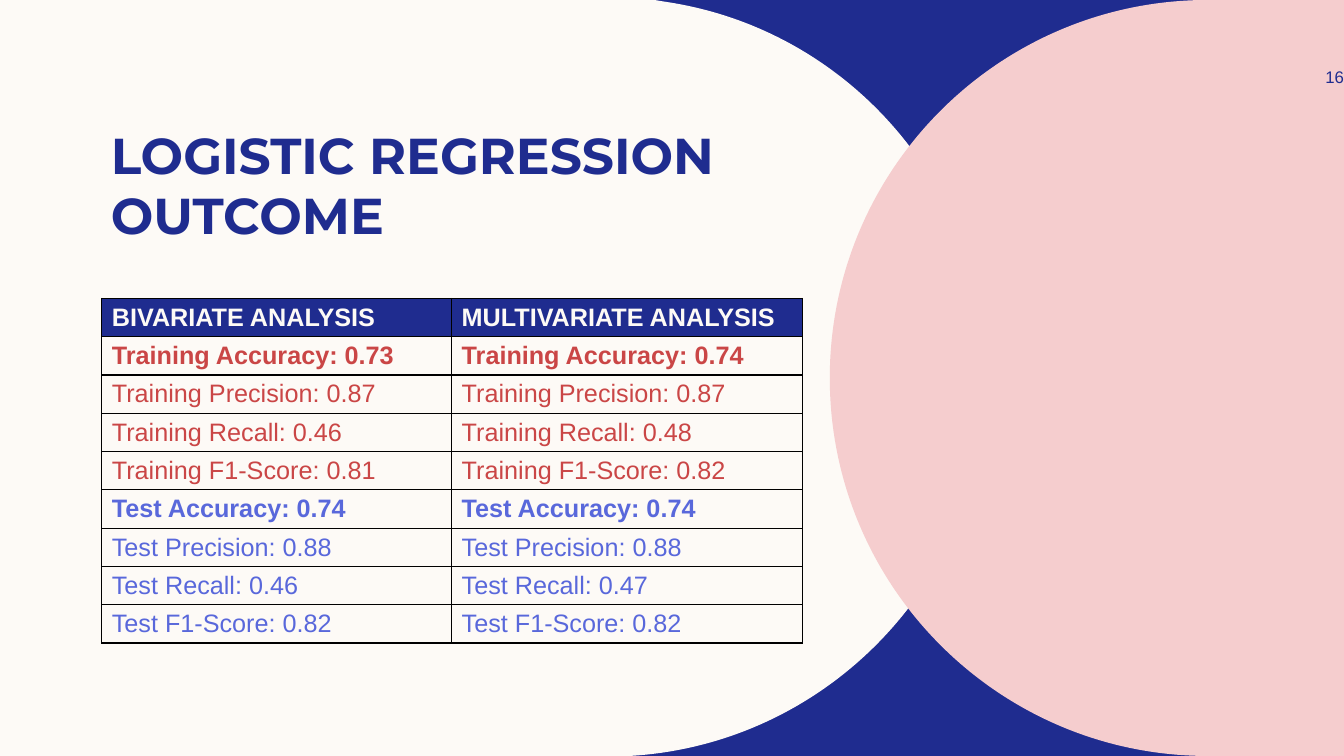
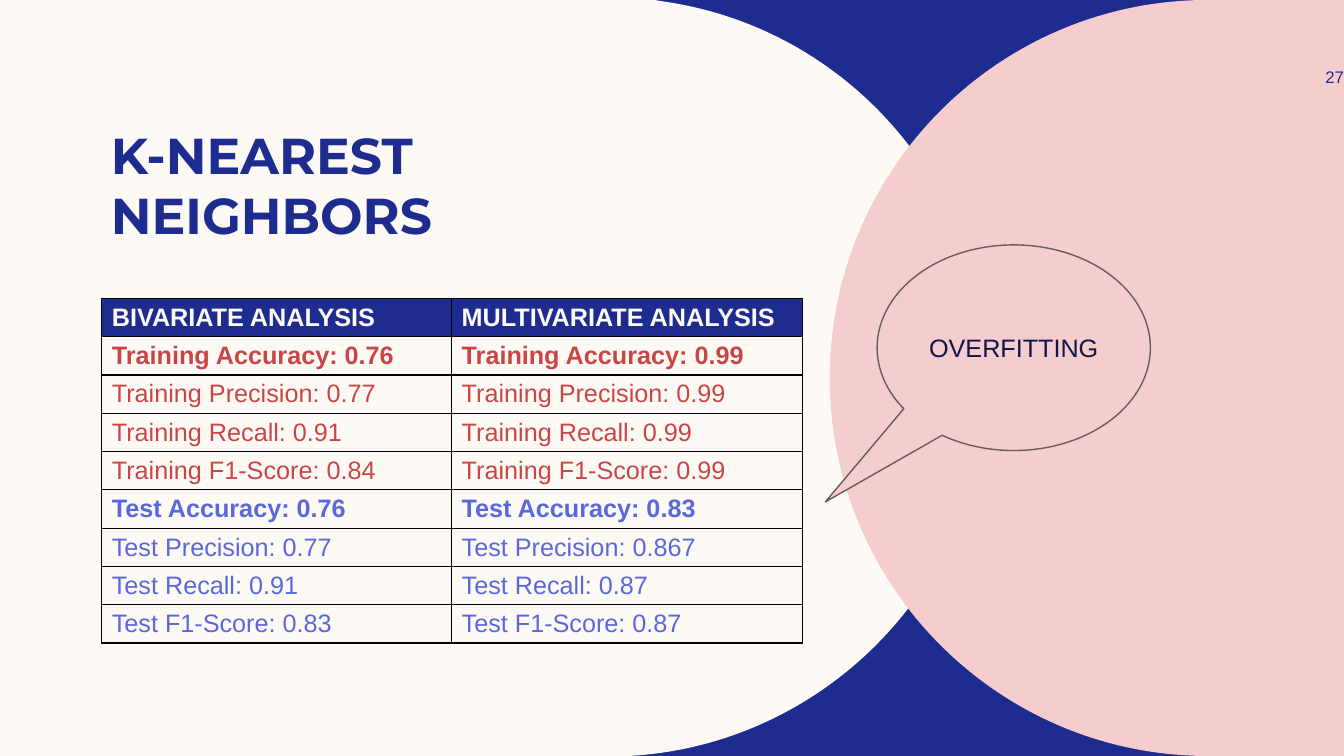
"""Build two slides that compare bivariate and multivariate model scores."""
from lxml import etree
from pptx import Presentation
from pptx import util as u
from pptx.dml.color import RGBColor
from pptx.enum import shapes, text
from pptx.oxml.ns import qn

COLORS = {"navy": "1F2C8F", "cream": "FDFAF6", "pink": "F5CDCE", "red": "CA4646",
          "blue": "5968DB", "ink": "101648", "outline": "6B5A5A", "border": "000000"}
BODY_FONT, TITLE_FONT = "Arial", "Montserrat"
HEADERS = ["BIVARIATE ANALYSIS", "MULTIVARIATE ANALYSIS"]
METRICS = ["Accuracy", "Precision", "Recall", "F1-Score"]
PHASES = [("Training", "red"), ("Test", "blue")]
SLIDES = [
    {"title": "LOGISTIC REGRESSION\nOUTCOME", "number": "16", "callout": None,
     "Training": [("0.73", "0.74"), ("0.87", "0.87"), ("0.46", "0.48"), ("0.81", "0.82")],
     "Test": [("0.74", "0.74"), ("0.88", "0.88"), ("0.46", "0.47"), ("0.82", "0.82")]},
    {"title": "K-NEAREST NEIGHBORS", "number": "27", "callout": "OVERFITTING",
     "Training": [("0.76", "0.99"), ("0.77", "0.99"), ("0.91", "0.99"), ("0.84", "0.99")],
     "Test": [("0.76", "0.83"), ("0.77", "0.867"), ("0.91", "0.87"), ("0.83", "0.87")]},
]
PANELS = [
    ("cream", (0, 0), [
        [(6.49, 0)],
        [(6.61, 0.02)],
        [(8.41, 0.29), (9.79, 1.85), (9.79, 3.74)],
        [(9.79, 5.75), (8.21, 7.39), (6.24, 7.5)],
        [(6.04, 7.5)],
        [(0, 7.5)]]),
    ("pink", (11.98, 0), [
        [(13.34, 0)],
        [(13.34, 7.5)],
        [(11.98, 7.5)],
        [(9.91, 7.5), (8.23, 5.82), (8.23, 3.75)],
        [(8.23, 1.68), (9.91, 0), (11.98, 0)]]),
]
COL_WIDTHS, ROW_HEIGHT = (3.47, 3.48), 0.38


def rgb(name):
    return RGBColor.from_string(COLORS[name])


def box(*lengths):
    return [u.Inches(v) for v in lengths]


def add_run(p, content, size, color, bold=False, font=BODY_FONT):
    r = p.add_run()
    r.text = content
    r.font.size, r.font.name, r.font.bold = u.Pt(size), font, bold
    r.font.color.rgb = rgb(color)


def set_frame(tf, anchor, margins):
    tf.word_wrap, tf.auto_size, tf.vertical_anchor = True, text.MSO_AUTO_SIZE.NONE, anchor
    tf.margin_left, tf.margin_top, tf.margin_right, tf.margin_bottom = box(*margins)


def add_panel(s, color, start, segments):
    builder = s.shapes.build_freeform(*box(*start))
    builder.add_line_segments([box(*segment[-1]) for segment in segments], close=True)
    sp = builder.convert_to_shape()
    steps = list(sp.element.iter(qn("a:lnTo")))
    for step, segment in zip(steps, segments):
        if len(segment) == 3:
            step.tag = qn("a:cubicBezTo")
            for i, (x, y) in enumerate(segment[:2]):
                pt = etree.Element(qn("a:pt"), x=str(u.Inches(x) - sp.left),
                                   y=str(u.Inches(y) - sp.top))
                step.insert(i, pt)
    sp.shadow.inherit = False
    sp.fill.solid()
    sp.fill.fore_color.rgb = rgb(color)
    sp.line.fill.background()


def add_title(s, title):
    sp = s.shapes.title
    s.shapes.element.append(sp.element)
    sp.left, sp.top, sp.width, sp.height = box(1, 0.22, 6.25, 2.21)
    set_frame(sp.text_frame, text.MSO_ANCHOR.BOTTOM, (0.1, 0, 0.1, 0))
    p = sp.text_frame.paragraphs[0]
    p.alignment = text.PP_ALIGN.LEFT
    for i, line in enumerate(title.split("\n")):
        if i:
            p.add_line_break()
        add_run(p, line, 36, "navy", True, TITLE_FONT)


def add_number(s, number):
    tf = s.shapes.add_textbox(*box(12.25, 0.5, 1.08, 0.52)).text_frame
    set_frame(tf, text.MSO_ANCHOR.MIDDLE, (0.1, 0.05, 0, 0.05))
    p = tf.paragraphs[0]
    p.alignment = text.PP_ALIGN.RIGHT
    add_run(p, number, 12, "navy")


def set_borders(cell):
    tc_pr = cell._tc.get_or_add_tcPr()
    for side in ("a:lnL", "a:lnR", "a:lnT", "a:lnB"):
        ln = etree.SubElement(tc_pr, qn(side), w=str(u.Pt(1)))
        fill = etree.SubElement(ln, qn("a:solidFill"))
        etree.SubElement(fill, qn("a:srgbClr"), val=COLORS["border"])


def add_scores(s, data):
    rows = [(HEADERS, "cream", True)]
    for phase, color in PHASES:
        for metric, scores in zip(METRICS, data[phase]):
            labels = [f"{phase} {metric}: {score}" for score in scores]
            rows.append((labels, color, metric == "Accuracy"))
    table = s.shapes.add_table(len(rows), len(HEADERS), *box(
        1.01, 2.96, sum(COL_WIDTHS), ROW_HEIGHT * len(rows))).table
    table.first_row = table.horz_banding = False
    for column, width in zip(table.columns, COL_WIDTHS):
        column.width = u.Inches(width)
    for i, (labels, color, bold) in enumerate(rows):
        table.rows[i].height = u.Inches(ROW_HEIGHT)
        for j, label in enumerate(labels):
            cell = table.cell(i, j)
            set_borders(cell)
            if i == 0:
                cell.fill.solid()
                cell.fill.fore_color.rgb = rgb("navy")
            else:
                cell.fill.background()
            cell.margin_top = cell.margin_bottom = u.Inches(0.04)
            cell.vertical_anchor = text.MSO_ANCHOR.MIDDLE
            add_run(cell.text_frame.paragraphs[0], label, 18, color, bold)


def add_callout(s, label):
    sp = s.shapes.add_shape(shapes.MSO_SHAPE.OVAL_CALLOUT, *box(8.7, 2.43, 2.71, 2.04))
    sp.adjustments[0], sp.adjustments[1] = -0.69, 0.75
    sp.shadow.inherit = False
    sp.fill.solid()
    sp.fill.fore_color.rgb = rgb("pink")
    sp.line.color.rgb, sp.line.width = rgb("outline"), u.Pt(1)
    set_frame(sp.text_frame, text.MSO_ANCHOR.MIDDLE, (0.1, 0.05, 0.1, 0.05))
    p = sp.text_frame.paragraphs[0]
    p.alignment = text.PP_ALIGN.CENTER
    add_run(p, label, 18, "ink")


def main():
    prs = Presentation()
    prs.slide_width, prs.slide_height = box(13.33, 7.5)
    layout = prs.slide_layouts[5]
    layout.background.fill.solid()
    layout.background.fill.fore_color.rgb = rgb("navy")
    for data in SLIDES:
        s = prs.slides.add_slide(layout)
        for panel in PANELS:
            add_panel(s, *panel)
        add_title(s, data["title"])
        add_number(s, data["number"])
        add_scores(s, data)
        if data["callout"]:
            add_callout(s, data["callout"])
    prs.save("out.pptx")


if __name__ == "__main__":
    main()
